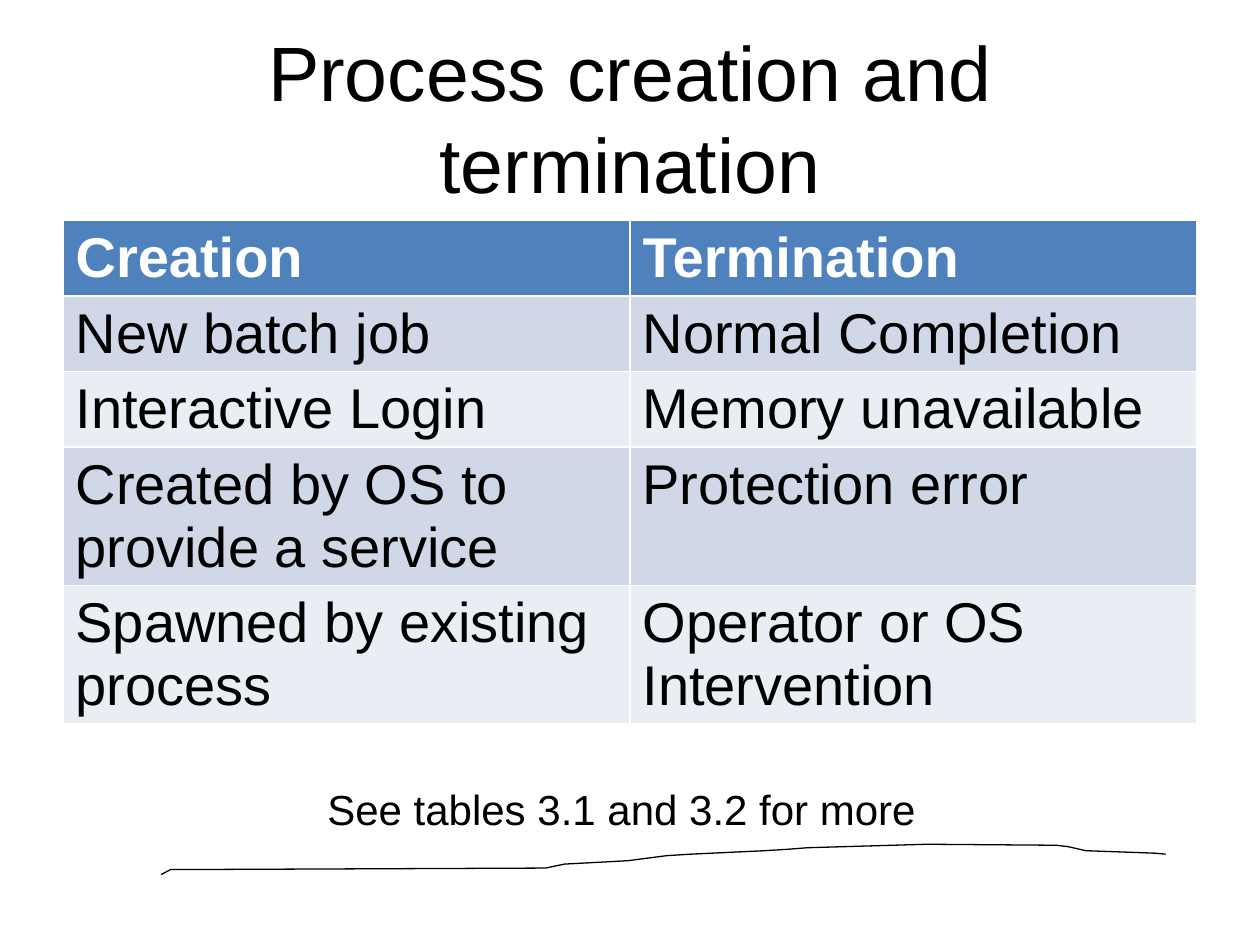
from typing import NamedTuple

from pptx import Presentation
from pptx.dml.color import RGBColor
from pptx.enum.text import MSO_ANCHOR, PP_ALIGN
from pptx.util import Cm, Pt

BLACK = RGBColor(0x00, 0x00, 0x00)
WHITE = RGBColor(0xFF, 0xFF, 0xFF)
HEADER_BLUE = RGBColor(0x4F, 0x81, 0xBD)
BAND_DARK = RGBColor(0xD0, 0xD8, 0xE8)
BAND_LIGHT = RGBColor(0xE9, 0xED, 0xF4)
FONT = "Arial"
LEFT, ALIGN_CENTER = PP_ALIGN.LEFT, PP_ALIGN.CENTER
MIDDLE = MSO_ANCHOR.MIDDLE
TITLE_ONLY = 5


class Reason(NamedTuple):
    creation: str
    termination: str


HEADER = Reason("Creation", "Termination")
REASONS = [
    Reason("New batch job", "Normal Completion"),
    Reason("Interactive Login", "Memory unavailable"),
    Reason("Created by OS to provide a service", "Protection error"),
    Reason("Spawned by existing process", "Operator or OS Intervention"),
]

# Hand-drawn stroke, in hundredths of a centimetre
STROKE = [
    (325, 1763), (344, 1753), (378, 1753), (1100, 1750), (1138, 1742),
    (1232, 1737), (1267, 1735), (1344, 1725), (1392, 1722), (1542, 1715),
    (1590, 1712), (1628, 1709), (1869, 1702), (2129, 1704), (2154, 1707),
    (2189, 1715), (2329, 1720), (2350, 1722),
]


def write(tf, text: str, *, size: float, color: RGBColor = BLACK,
          bold: bool = False, align=LEFT) -> None:
    tf.word_wrap = True
    p = tf.paragraphs[0]
    p.alignment = align
    r = p.add_run()
    r.text = text
    r.font.name = FONT
    r.font.size = Pt(size)
    r.font.bold = bold
    r.font.color.rgb = color


def add_title(s, text: str) -> None:
    sp = s.shapes.title
    sp.left, sp.top, sp.width, sp.height = Cm(1.27), Cm(0.76), Cm(22.86), Cm(3.18)
    sp.text_frame.vertical_anchor = MIDDLE
    write(sp.text_frame, text, size=44, align=ALIGN_CENTER)


def add_reason_table(s, header: Reason, reasons: list[Reason]) -> None:
    rows = [header, *reasons]
    row_height = Cm(1.03)
    table = s.shapes.add_table(len(rows), len(header), Cm(1.27), Cm(4.45),
                               Cm(22.86), row_height * len(rows)).table
    for i, reason in enumerate(rows):
        is_header = i == 0
        band = BAND_DARK if i % 2 else BAND_LIGHT
        for j, text in enumerate(reason):
            cell = table.cell(i, j)
            cell.fill.solid()
            cell.fill.fore_color.rgb = HEADER_BLUE if is_header else band
            write(cell.text_frame, text, size=32, bold=is_header,
                  color=WHITE if is_header else BLACK)


def add_note(s, text: str) -> None:
    sp = s.shapes.add_textbox(Cm(6.35), Cm(15.67), Cm(12.67), Cm(1.27))
    write(sp.text_frame, text, size=24)


def add_stroke(s, points: list[tuple[int, int]]) -> None:
    builder = s.shapes.build_freeform(*points[0], scale=Cm(0.01))
    builder.add_line_segments(points[1:], close=False)
    sp = builder.convert_to_shape()
    sp.shadow.inherit = False
    sp.fill.background()
    sp.line.color.rgb = BLACK
    sp.line.width = Pt(0.75)


def main() -> None:
    prs = Presentation()
    prs.slide_width, prs.slide_height = Cm(25.4), Cm(19.05)
    s = prs.slides.add_slide(prs.slide_layouts[TITLE_ONLY])
    add_stroke(s, STROKE)
    add_title(s, "Process creation and termination")
    add_reason_table(s, HEADER, REASONS)
    add_note(s, "See tables 3.1 and 3.2 for more")
    prs.save("out.pptx")


if __name__ == "__main__":
    main()
